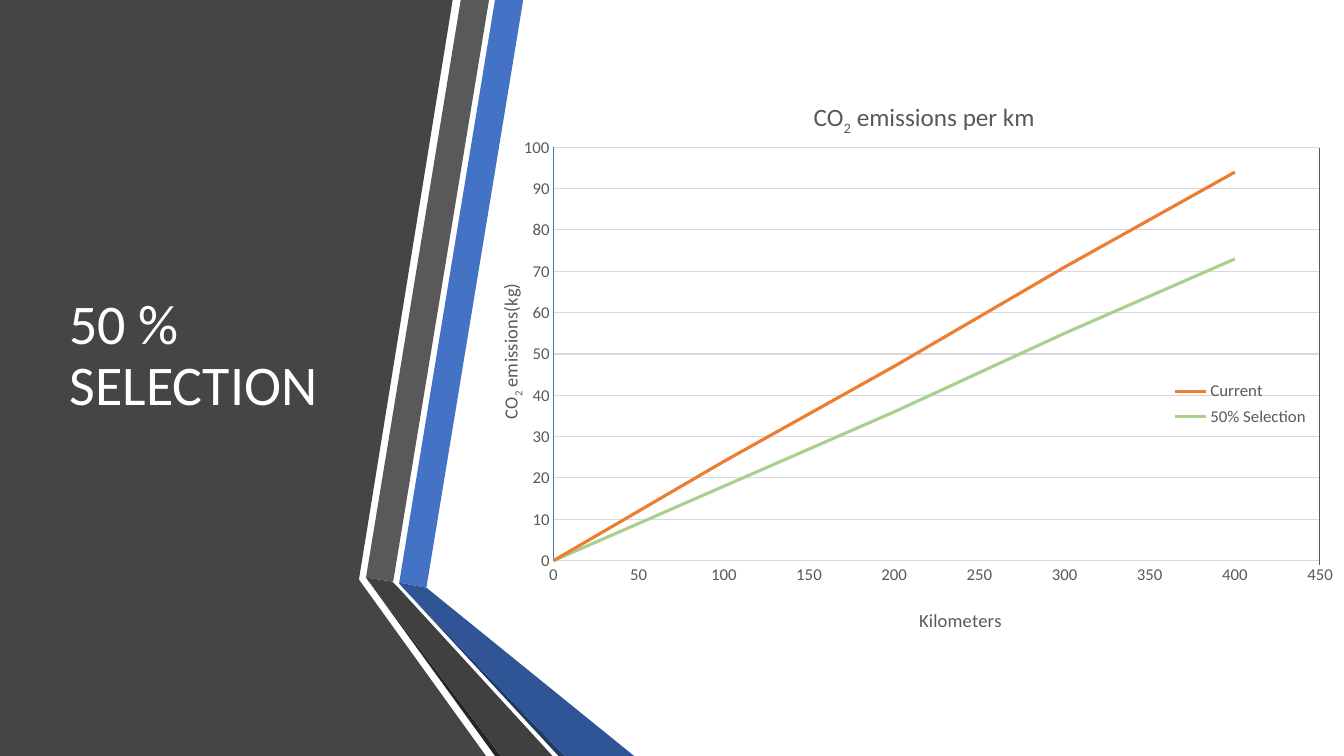
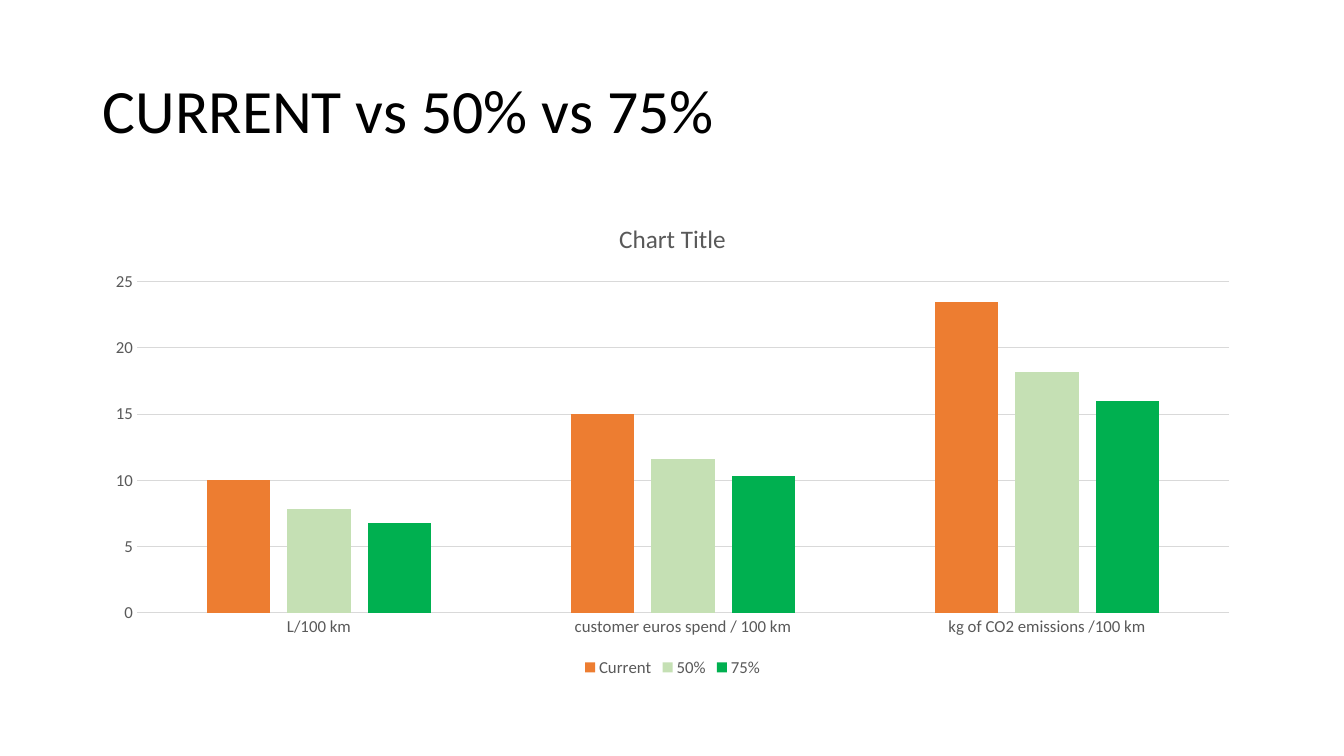
from lxml.etree import SubElement
from pptx import Presentation
from pptx.chart.data import CategoryChartData, XyChartData
from pptx.dml.color import RGBColor
from pptx.enum.chart import XL_CHART_TYPE, XL_LEGEND_POSITION, XL_TICK_MARK
from pptx.enum.shapes import MSO_CONNECTOR
from pptx.enum.text import MSO_ANCHOR, MSO_AUTO_SIZE, PP_ALIGN
from pptx.oxml import parse_xml
from pptx.oxml.ns import nsdecls, qn
from pptx.util import Inches, Pt

WHITE = RGBColor(0xFF, 0xFF, 0xFF)
BLACK = RGBColor(0x00, 0x00, 0x00)
CHARCOAL = RGBColor(0x45, 0x45, 0x45)
GREY = RGBColor(0x59, 0x59, 0x59)
DARK_GREY = RGBColor(0x40, 0x40, 0x40)
NEAR_BLACK = RGBColor(0x26, 0x26, 0x26)
GRID_GREY = RGBColor(0xD9, 0xD9, 0xD9)
BLUE = RGBColor(0x44, 0x72, 0xC4)
DEEP_BLUE = RGBColor(0x2F, 0x55, 0x97)
NAVY = RGBColor(0x20, 0x38, 0x64)
ORANGE = RGBColor(0xED, 0x7D, 0x31)
SOFT_GREEN = RGBColor(0xA9, 0xD1, 0x8E)
PALE_GREEN = RGBColor(0xC5, 0xE0, 0xB4)
GREEN = RGBColor(0x00, 0xB0, 0x50)

FONT = "Calibri"
TITLE_ONLY = 5

# Side panel and folded ribbons, back to front, as corner points in inches
RIBBONS = [
    (CHARCOAL, [(0, 0), (4.49, 0), (3.56, 5.75), (4.82, 7.5), (0, 7.5)]),
    (BLUE, [(3.96, 5.78), (4.23, 5.83), (5.19, 0), (4.91, 0)]),
    (GREY, [(4.85, 0), (4.57, 0), (3.63, 5.73), (3.9, 5.77)]),
    (NEAR_BLACK, [(3.63, 5.73), (4.91, 7.5), (4.97, 7.5)]),
    (NAVY, [(3.96, 5.79), (5.54, 7.5), (5.6, 7.5)]),
    (DEEP_BLUE, [(3.96, 5.79), (5.6, 7.5), (6.29, 7.5), (4.23, 5.83),
                 (3.96, 5.78)]),
    (DARK_GREY, [(5.48, 7.5), (3.95, 5.83), (3.89, 5.77), (3.63, 5.73),
                 (4.97, 7.5)]),
]


def style_font(font, size, color):
    """Apply the shared typeface with a size and colour."""
    font.name = FONT
    font.size = Pt(size)
    font.bold = False
    font.color.rgb = color


def style_line(line, color, width=0.75):
    """Give a line its colour and width."""
    line.color.rgb = color
    line.width = Pt(width)


def manual_layout(inner=False, **fractions):
    """Return a chart layout element placed by fractions of the chart."""
    layout = parse_xml(f"<c:layout {nsdecls('c')}><c:manualLayout/></c:layout>")
    manual = layout[0]
    if inner:
        SubElement(manual, qn("c:layoutTarget")).set("val", "inner")
    for side in ("x", "y"):
        SubElement(manual, qn(f"c:{side}Mode")).set("val", "edge")
    for side, fraction in fractions.items():
        SubElement(manual, qn(f"c:{side}")).set("val", str(fraction))
    return layout


def place(part, predecessor=None, **layout):
    """Replace the layout of a chart part, after its predecessor if any."""
    for old in part.findall(qn("c:layout")):
        part.remove(old)
    index = 0
    if predecessor:
        index = part.index(part.find(qn(predecessor))) + 1
    part.insert(index, manual_layout(**layout))


def chart_text(title, text, size, rotation=None, **layout):
    """Write a chart or axis title, lowering the 2 of CO2."""
    paragraph = title.text_frame.paragraphs[0]
    for piece in filter(None, text.partition("2")):
        run = paragraph.add_run()
        run.text = piece
        style_font(run.font, size, GREY)
    for properties in title.element.xpath('.//a:r[a:t="2"]/a:rPr'):
        properties.set("baseline", "-25000")
    if rotation is not None:
        body = title.element.xpath(".//a:bodyPr")[0]
        body.set("rot", str(rotation * 60000))
        body.set("vert", "horz")
    if layout:
        place(title.element, "c:tx", **layout)


class Deck:
    """Hold the shared style and the slide being built."""

    def __init__(self):
        """Start a widescreen presentation."""
        self.presentation = Presentation()
        self.presentation.slide_width = Inches(13.33)
        self.presentation.slide_height = Inches(7.5)
        self.slide = None

    def new_slide(self):
        """Add a title-only slide on white."""
        layout = self.presentation.slide_layouts[TITLE_ONLY]
        self.slide = self.presentation.slides.add_slide(layout)
        self.slide.background.fill.solid()
        self.slide.background.fill.fore_color.rgb = WHITE

    def title(self, text, box, size, color):
        """Fill the title placeholder and bring it to the front."""
        title = self.slide.shapes.title
        title.left, title.top, title.width, title.height = map(Inches, box)
        frame = title.text_frame
        frame.text = text
        frame.word_wrap = True
        frame.auto_size = MSO_AUTO_SIZE.NONE
        frame.vertical_anchor = MSO_ANCHOR.MIDDLE
        paragraph = frame.paragraphs[0]
        paragraph.alignment = PP_ALIGN.LEFT
        paragraph.line_spacing = 0.9
        style_font(paragraph.runs[0].font, size, color)
        title.element.getparent().append(title.element)

    def polygon(self, color, corners):
        """Draw a filled outline through corners given in inches."""
        points = [(Inches(x), Inches(y)) for x, y in corners]
        builder = self.slide.shapes.build_freeform(*points[0])
        builder.add_line_segments(points[1:], close=True)
        outline = builder.convert_to_shape()
        outline.fill.solid()
        outline.fill.fore_color.rgb = color
        outline.line.fill.background()
        outline.shadow.inherit = False

    def rule(self, x1, y1, x2, y2, color):
        """Draw a thin straight line."""
        rule = self.slide.shapes.add_connector(
            MSO_CONNECTOR.STRAIGHT, *map(Inches, (x1, y1, x2, y2)))
        style_line(rule.line, color)
        SubElement(rule.element.spPr, qn("a:effectLst"))

    def axis(self, axis, top, step, line=None, grid=False):
        """Style an axis; a top of None leaves its scale alone."""
        axis.major_tick_mark = axis.minor_tick_mark = XL_TICK_MARK.NONE
        axis.has_major_gridlines = grid
        if grid:
            style_line(axis.major_gridlines.format.line, GRID_GREY)
        if top is not None:
            axis.minimum_scale, axis.maximum_scale = 0, top
            axis.major_unit = step
        if line is None:
            axis.format.line.fill.background()
        else:
            style_line(axis.format.line, line)
        style_font(axis.tick_labels.font, 12, GREY)

    def chart(self, kind, data, box, legend_position):
        """Add a chart with the shared font and legend."""
        chart = self.slide.shapes.add_chart(kind, *map(Inches, box), data).chart
        style_font(chart.font, 10, BLACK)
        chart.has_title = True
        chart.has_legend = True
        chart.legend.position = legend_position
        chart.legend.include_in_layout = False
        style_font(chart.legend.font, 12, GREY)
        chart.plots[0].vary_by_categories = False
        return chart

    def line_chart(self, kilometers, emissions, box):
        """Plot emissions against distance, with the legend inside."""
        data = XyChartData()
        for name, (_, kilograms) in emissions.items():
            series = data.add_series(name)
            for distance, mass in zip(kilometers, kilograms):
                series.add_data_point(distance, mass)
        chart = self.chart(XL_CHART_TYPE.XY_SCATTER_LINES_NO_MARKERS, data, box,
                           XL_LEGEND_POSITION.RIGHT)
        for series, (color, _) in zip(chart.plots[0].series, emissions.values()):
            style_line(series.format.line, color, 2.25)
            series.smooth = False
        distance_axis, mass_axis = chart.category_axis, chart.value_axis
        self.axis(distance_axis, 450, 50, line=GRID_GREY)
        self.axis(mass_axis, 100, 10, line=BLUE, grid=True)
        chart_text(chart.chart_title, "CO2 emissions per km", 18, x=0.37, y=0.04)
        chart_text(distance_axis.axis_title, "Kilometers", 13.3, x=0.49, y=0.95)
        chart_text(mass_axis.axis_title, "CO2 emissions(kg)", 13.3, rotation=-90,
                   x=0.01, y=0.37)
        place(chart.element.xpath(".//c:plotArea")[0], inner=True,
              x=0.077, y=0.129, w=0.874, h=0.743)
        place(chart.element.xpath(".//c:legend")[0], "c:legendPos",
              x=0.77, y=0.54, w=0.18, h=0.1)

    def column_chart(self, heading, categories, selections, box):
        """Compare the selections in clustered columns."""
        data = CategoryChartData()
        data.categories = categories
        for name, (_, values) in selections.items():
            data.add_series(name, values)
        chart = self.chart(XL_CHART_TYPE.COLUMN_CLUSTERED, data, box,
                           XL_LEGEND_POSITION.BOTTOM)
        plot = chart.plots[0]
        plot.gap_width, plot.overlap = 219, -27
        for series, (color, _) in zip(plot.series, selections.values()):
            series.format.fill.solid()
            series.format.fill.fore_color.rgb = color
        self.axis(chart.category_axis, None, None, line=GRID_GREY)
        self.axis(chart.value_axis, 25, 5, grid=True)
        chart_text(chart.chart_title, heading, 18)


def build_selection(deck):
    """Build the 50 % selection slide."""
    deck.new_slide()
    for color, corners in RIBBONS:
        deck.polygon(color, corners)
    deck.title("50 % SELECTION", (0.59, 0.75, 3.04, 5.58), 40, WHITE)
    deck.line_chart(
        [0, 100, 200, 300, 400],
        {"Current": (ORANGE, [0, 24, 47, 71, 94]),
         "50% Selection": (SOFT_GREEN, [0, 18, 36, 55, 73])},
        (4.82, 0.75, 8.7, 5.58))
    deck.rule(13.09, 1.47, 13.09, 5.61, GREY)


def build_comparison(deck):
    """Build the slide that compares all selections."""
    deck.new_slide()
    deck.title("CURRENT vs 50% vs 75%", (0.92, 0.4, 11.5, 1.45), 44, BLACK)
    deck.column_chart(
        "Chart Title",
        ["L/100 km", "customer euros spend / 100 km",
         "kg of CO2 emissions /100 km"],
        {"Current": (ORANGE, [10, 15, 23.5]),
         "50%": (PALE_GREEN, [7.8, 11.6, 18.2]),
         "75%": (GREEN, [6.8, 10.3, 16])},
        (0.92, 2, 11.5, 4.76))


deck = Deck()
build_selection(deck)
build_comparison(deck)
deck.presentation.save("out.pptx")
